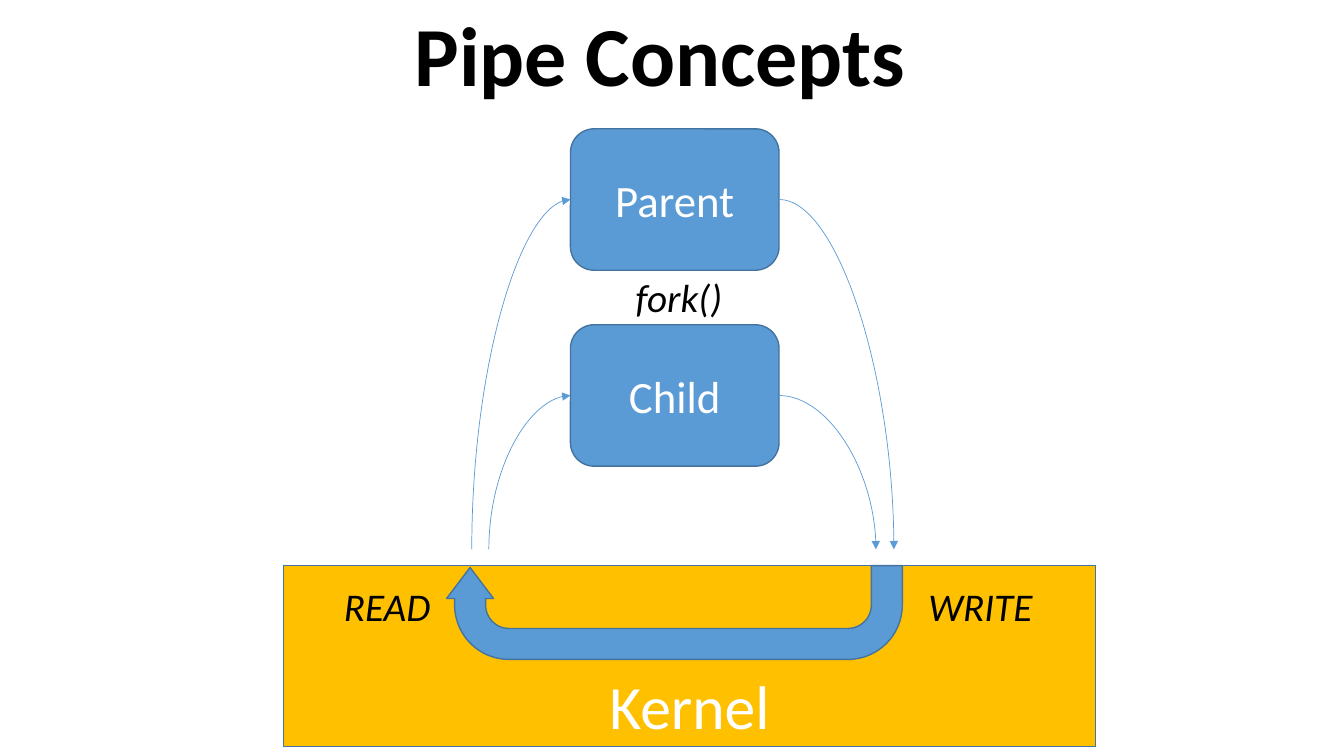
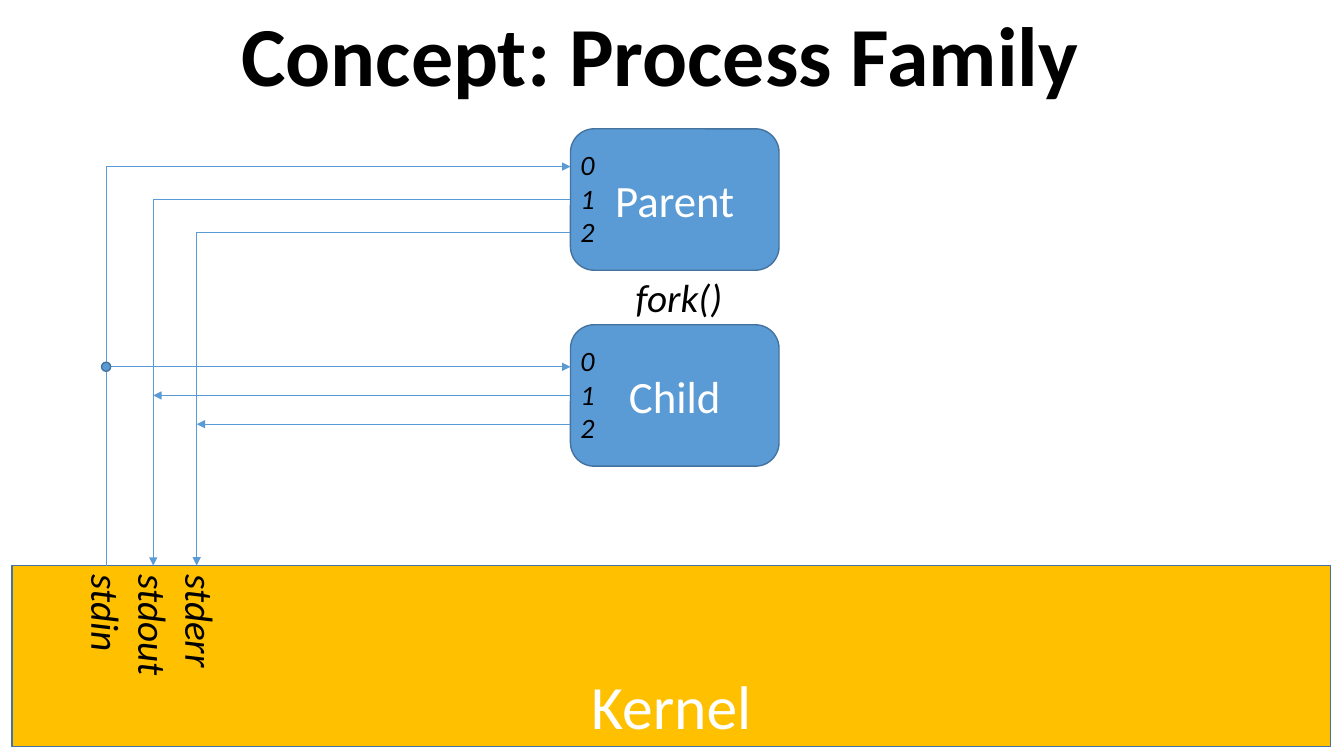
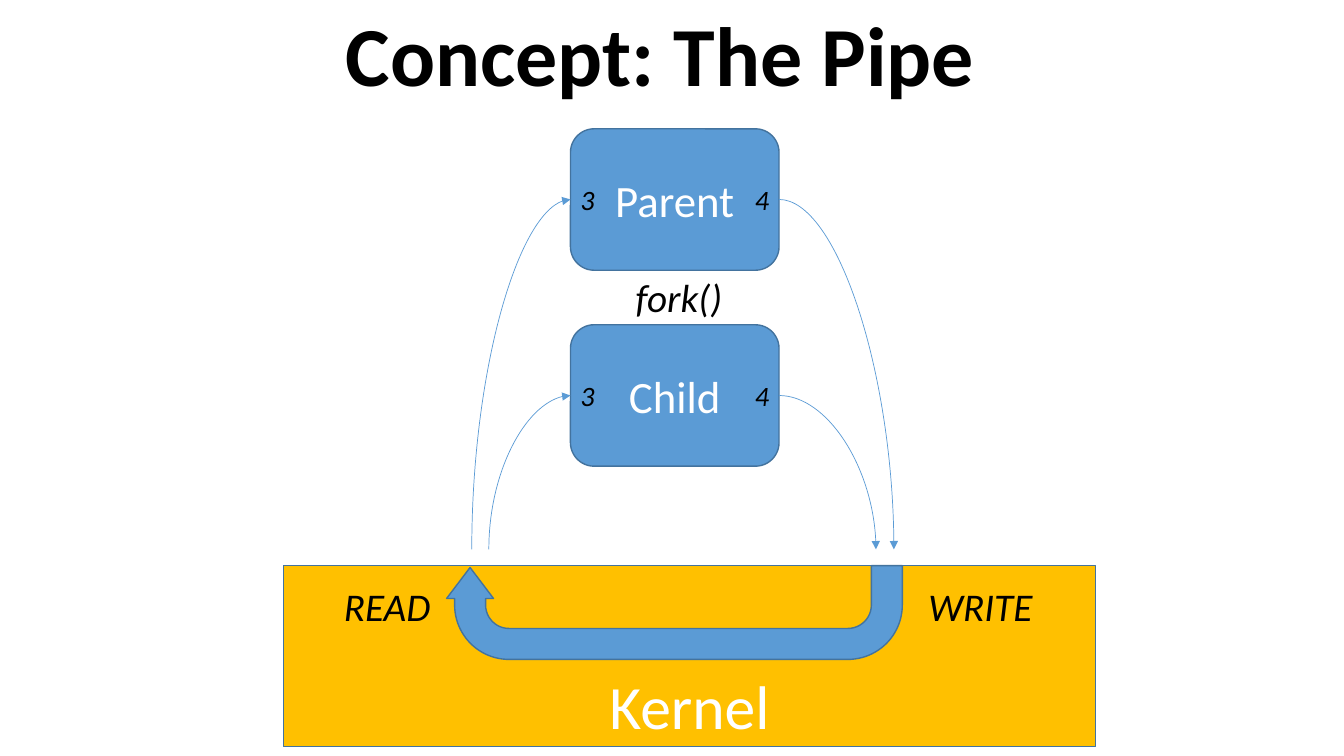
"""Build three slides that explain how a parent and a child process share a pipe."""
from dataclasses import dataclass

from pptx import Presentation
from pptx.dml.color import RGBColor
from pptx.enum.shapes import MSO_CONNECTOR as Connector, MSO_SHAPE as Shape
from pptx.enum.text import MSO_ANCHOR as Anchor, PP_ALIGN as Align
from pptx.oxml.ns import qn
from pptx.oxml.xmlchemy import OxmlElement
from pptx.util import Pt

PROCESS_LEFT, PROCESS_WIDTH, PROCESS_HEIGHT = 407.5, 149, 101
PROCESS_RIGHT = PROCESS_LEFT + PROCESS_WIDTH
PROCESS_TOPS = {"Parent": 92, "Child": 232}
MIDDLES = [top + PROCESS_HEIGHT / 2 for top in PROCESS_TOPS.values()]
KERNEL_TOP, KERNEL_HEIGHT = 404, 129.5
CURVE_END = 392.4


def color(value):
    return RGBColor.from_string(value)


def write(box, text, size=28, ink="000000", bold=False, italic=False,
          align=Align.LEFT, anchor=Anchor.TOP, spacing=None):
    frame = box.text_frame
    frame.word_wrap = True
    frame.vertical_anchor = anchor
    frame.text = text
    for para in frame.paragraphs:
        para.alignment = align
        para.line_spacing = spacing
        for span in para.runs:
            font = span.font
            font.name, font.size = "Calibri", Pt(size)
            font.bold, font.italic = bold, italic
            font.color.rgb = color(ink)


@dataclass
class Board:
    deck: object
    page: object = None
    blue: str = "5B9BD5"
    outline: str = "43739E"
    gold: str = "FFC000"
    white: str = "FFFFFF"

    def start(self, title):
        self.page = self.deck.slides.add_slide(self.deck.slide_layouts[6])
        self.label(title, 57.5, 1.5, 828, 81.5, size=60, bold=True, italic=False,
                   align=Align.CENTER, anchor=Anchor.MIDDLE, spacing=0.9)

    def label(self, text, left, top, width, height, italic=True, **style):
        box = self.page.shapes.add_textbox(Pt(left), Pt(top), Pt(width), Pt(height))
        write(box, text, italic=italic, **style)
        return box

    def shape(self, kind, left, top, width, height, fill):
        shape = self.page.shapes.add_shape(kind, Pt(left), Pt(top), Pt(width), Pt(height))
        shape.shadow.inherit = False
        shape.fill.solid()
        shape.fill.fore_color.rgb = color(fill)
        shape.line.color.rgb = color(self.outline)
        shape.line.width = Pt(1)
        return shape

    def arrow(self, preset, start, end, tip="tailEnd"):
        link = self.page.shapes.add_connector(
            Connector.STRAIGHT, *(Pt(length) for length in (*start, *end)))
        link.line.color.rgb = color(self.blue)
        link.line.width = Pt(0.5)
        properties = link._element.spPr
        properties.find(qn("a:prstGeom")).set("prst", preset)
        arrowhead = OxmlElement(f"a:{tip}")
        arrowhead.set("type", "triangle")
        properties.find(qn("a:ln")).append(arrowhead)
        properties.append(OxmlElement("a:effectLst"))

    def kernel(self, left, width):
        box = self.shape(Shape.RECTANGLE, left, KERNEL_TOP, width, KERNEL_HEIGHT, self.gold)
        write(box, "Kernel", size=44, ink=self.white, align=Align.CENTER, anchor=Anchor.BOTTOM)

    def processes(self):
        for name, top in PROCESS_TOPS.items():
            box = self.shape(Shape.ROUNDED_RECTANGLE, PROCESS_LEFT, top,
                             PROCESS_WIDTH, PROCESS_HEIGHT, self.blue)
            write(box, name, size=32, ink=self.white, align=Align.CENTER, anchor=Anchor.MIDDLE)
        self.label("fork()", 447, 191.5, 91, 41)

    def pipe(self):
        self.kernel(202.5, 580)
        bend = self.shape(Shape.U_TURN_ARROW, 319, KERNEL_TOP, 325.5, 67, self.blue)
        bend.rotation = 180
        for index, value in enumerate((0.33, 0.33, 0.33, 0.58, 0.98)):
            bend.adjustments[index] = value
        for text, left in (("READ", 238.5), ("WRITE", 656)):
            self.label(text, left, 412.5, 91, 41)
        for middle, read, written in zip(MIDDLES, (337, 349.2), (638.5, 625.7)):
            self.arrow("curvedConnector2", (PROCESS_LEFT, middle), (read, CURVE_END), "headEnd")
            self.arrow("curvedConnector2", (PROCESS_RIGHT, middle), (written, CURVE_END))

    def streams(self):
        self.kernel(8.6, 942)
        names = self.label("stderr\nstdout\nstdin", 64, 394.5, 91, 109)
        names.rotation = 90
        parent, child = MIDDLES
        for step, column in zip((-1, 0, 1), (75.8, 109.5, 140.5)):
            tip = "headEnd" if step < 0 else "tailEnd"
            self.arrow("bentConnector2", (PROCESS_LEFT, parent + 23.5 * step),
                       (column, KERNEL_TOP), tip)
            level = child + 20.5 * step
            self.arrow("line", (PROCESS_LEFT, level), (column, level), tip)
            if step < 0:
                self.shape(Shape.OVAL, column - 3.25, level - 3.25, 6.5, 6.5, self.blue)
        for middle in MIDDLES:
            self.label("0\n1\n2", PROCESS_LEFT, middle - 40.5, 29, 80, size=20)

    def descriptors(self):
        for middle in MIDDLES:
            for text, left, align in (("3", PROCESS_LEFT, Align.LEFT),
                                      ("4", PROCESS_RIGHT - 29, Align.RIGHT)):
                self.label(text, left, middle - 15.5, 29, 31.5, size=20, align=align)


deck = Presentation()
deck.slide_width, deck.slide_height = Pt(960), Pt(540)
board = Board(deck)

board.start("Pipe Concepts")
board.processes()
board.pipe()

board.start("Concept: Process Family")
board.processes()
board.streams()

board.start("Concept: The Pipe")
board.processes()
board.pipe()
board.descriptors()

deck.save("out.pptx")
